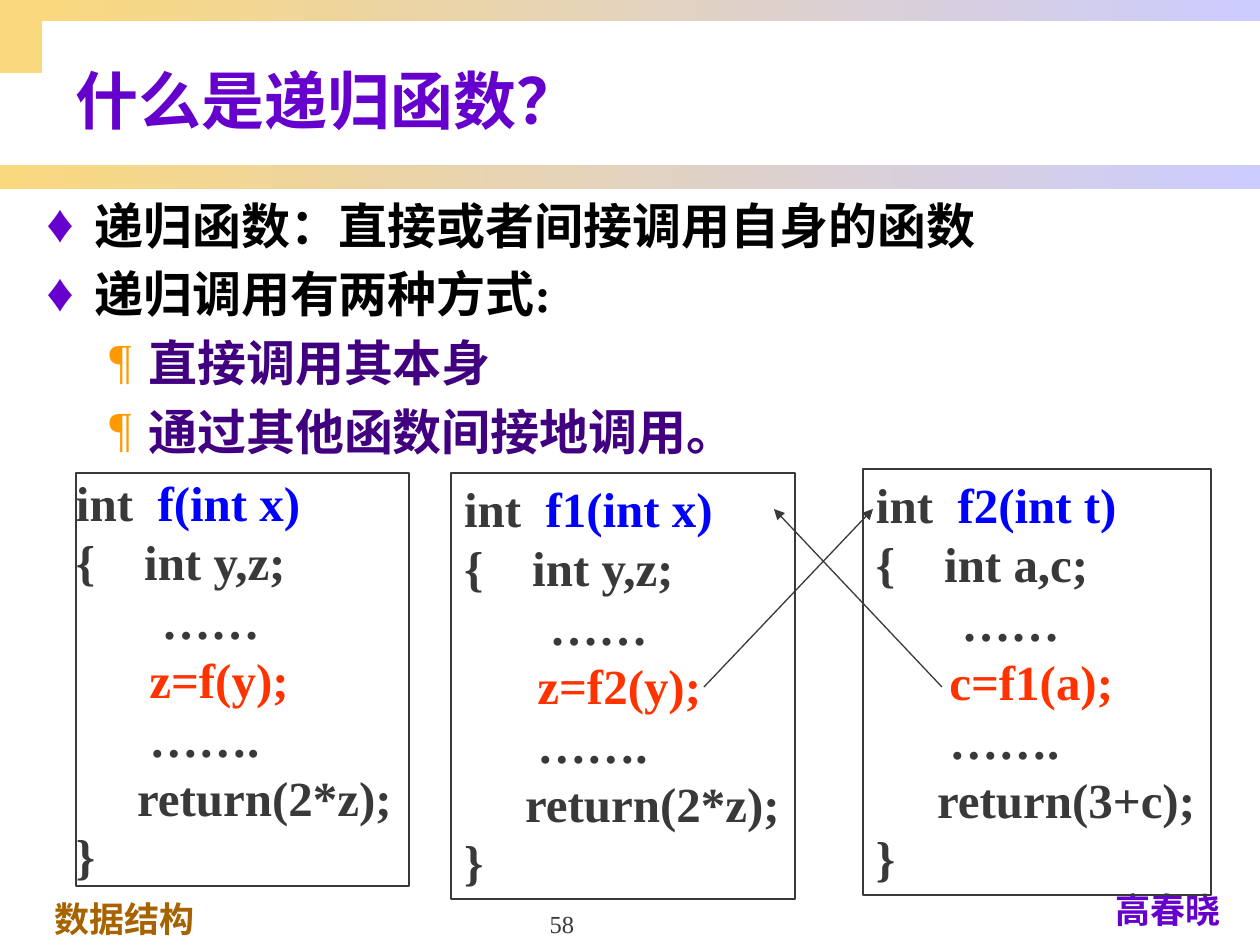
"""Build the slide that explains recursive functions with three code boxes."""
import pptx
import pptx.util
import pptx.dml.color
import pptx.enum.shapes
import pptx.enum.text
import pptx.oxml
import pptx.oxml.ns

RGB = pptx.dml.color.RGBColor
ANCHOR = pptx.enum.text.MSO_ANCHOR
ALIGN = pptx.enum.text.PP_ALIGN
GOLD = RGB(0xF9, 0xD8, 0x7E)
LAVENDER = RGB(0xCC, 0xCC, 0xFF)
BROWN = RGB(0xA6, 0x63, 0x00)
PURPLE = RGB(0x66, 0x00, 0xCC)
INDIGO = RGB(0x40, 0x00, 0x80)
ORANGE = RGB(0xFF, 0x99, 0x00)
BLACK = RGB(0, 0, 0)
GRAY = RGB(0x39, 0x39, 0x39)
BLUE = RGB(0, 0, 0xFF)
RED = RGB(0xFF, 0x33, 0x00)

FONT = "Times New Roman"
EMU_PER_PX = 914400 / 126

TITLE = "什么是递归函数？"
BANDS = [
    ((0, 0, 42, 73), False),
    ((0, 165, 1260, 24), True),
    ((42, 0, 1218, 21), True),
]
FOOTERS = [
    ("数据结构", (42, 891, 441, 54), 20, BROWN, True, ALIGN.LEFT, ANCHOR.TOP),
    ("高春晓", (1086, 882, 164, 54), 20, PURPLE, True, ALIGN.CENTER, ANCHOR.TOP),
    ("58", (431, 882, 262, 63), 14, GRAY, False, ALIGN.CENTER, ANCHOR.BOTTOM),
]
BULLETS = [
    (0, "递归函数：直接或者间接调用自身的函数"),
    (0, "递归调用有两种方式:"),
    (1, "直接调用其本身"),
    (1, "通过其他函数间接地调用。"),
]
LEVELS = [
    {"char": "♦", "mark": PURPLE, "size": 110, "color": BLACK, "left": 48, "hang": 48},
    {"char": "¶", "mark": ORANGE, "size": 100, "color": INDIGO, "left": 102, "hang": 39},
]
FUNCTIONS = [
    ((76, 473, 333, 413), (0, 0), "f(int x)", "y,z", "z=f(y);", "2*z"),
    ((451, 473, 344, 426), (13, 6), "f1(int x)", "y,z", "z=f2(y);", "2*z"),
    ((863, 469, 348, 426), (13, 6), "f2(int t)", "a,c", "c=f1(a);", "3+c"),
]
CALLS = [((704, 687), (873, 509)), ((942, 687), (774, 509))]


def px(n):
    return pptx.util.Emu(round(n * EMU_PER_PX))


def place(box):
    return [px(n) for n in box]


def add_run(p, text, size, color, bold=True):
    r = p.add_run()
    r.text = text
    r.font.name = FONT
    r.font.size = pptx.util.Pt(size)
    r.font.bold = bold
    r.font.color.rgb = color


def add_rect(shapes, box):
    sp = shapes.add_shape(pptx.enum.shapes.MSO_SHAPE.RECTANGLE, *place(box))
    sp.shadow.inherit = False
    return sp


def add_band(shapes, box, graded):
    sp = add_rect(shapes, box)
    sp.line.fill.background()
    if not graded:
        sp.fill.solid()
        sp.fill.fore_color.rgb = GOLD
        return
    sp.fill.gradient()
    sp.fill.gradient_angle = 0
    for stop, color, position in zip(sp.fill.gradient_stops, (GOLD, LAVENDER), (0, 1)):
        stop.color.rgb = color
        stop.position = position


def add_footer(shapes, text, box, size, color, bold, align, anchor):
    tf = shapes.add_textbox(*place(box)).text_frame
    tf.word_wrap = True
    tf.vertical_anchor = anchor
    p = tf.paragraphs[0]
    p.alignment = align
    add_run(p, text, size, color, bold)


def add_bullet(p, style):
    pPr = p._p.get_or_add_pPr()
    pPr.set("marL", str(px(style["left"])))
    pPr.set("indent", str(-px(style["hang"])))
    ns = pptx.oxml.ns.nsdecls("a")
    for xml in (
        f'<a:buClr {ns}><a:srgbClr val="{style["mark"]}"/></a:buClr>',
        f'<a:buSzPct {ns} val="{style["size"] * 1000}"/>',
        f'<a:buFont {ns} typeface="{FONT}"/>',
        f'<a:buChar {ns} char="{style["char"]}"/>',
    ):
        pPr.append(pptx.oxml.parse_xml(xml))


def add_bullets(shapes):
    tf = shapes.add_textbox(*place((34, 189, 1197, 280))).text_frame
    tf.word_wrap = True
    for i, (level, text) in enumerate(BULLETS):
        p = tf.add_paragraph() if i else tf.paragraphs[0]
        p.level = level
        if i:
            p.space_before = pptx.util.Pt(5.6)
        add_bullet(p, LEVELS[level])
        add_run(p, text, 28, LEVELS[level]["color"])


def add_function(shapes, box, inset, signature, names, call, result):
    sp = add_rect(shapes, box)
    sp.fill.background()
    sp.line.color.rgb = GRAY
    sp.line.width = pptx.util.Pt(0.75)
    tf = sp.text_frame
    tf.word_wrap = False
    tf.vertical_anchor = ANCHOR.TOP
    tf.margin_left = tf.margin_right = px(inset[0])
    tf.margin_top = tf.margin_bottom = px(inset[1])
    lines = [
        [("int  ", GRAY), (signature, BLUE)],
        [("{    int " + names + ";", GRAY)],
        [("       ……", GRAY)],
        [("      " + call, RED)],
        [("      …….", GRAY)],
        [("     return(" + result + ");", GRAY)],
        [("}", GRAY)],
    ]
    for i, runs in enumerate(lines):
        p = tf.add_paragraph() if i else tf.paragraphs[0]
        p.alignment = ALIGN.LEFT
        for text, color in runs:
            add_run(p, text, 28, color)


def add_arrow(shapes, start, end):
    straight = pptx.enum.shapes.MSO_CONNECTOR.STRAIGHT
    cx = shapes.add_connector(straight, *place(start + end))
    cx.line.color.rgb = GRAY
    cx.line.width = pptx.util.Pt(0.75)
    ns = pptx.oxml.ns.nsdecls("a")
    cx.line._get_or_add_ln().append(pptx.oxml.parse_xml(f'<a:tailEnd {ns} type="triangle"/>'))
    cx._element.spPr.append(pptx.oxml.parse_xml(f"<a:effectLst {ns}/>"))


def main():
    prs = pptx.Presentation()
    prs.slide_width, prs.slide_height = px(1260), px(945)
    slide = prs.slides.add_slide(prs.slide_layouts[5])
    shapes = slide.shapes
    for band in BANDS:
        add_band(shapes, *band)
    for footer in FOOTERS:
        add_footer(shapes, *footer)

    title = shapes.title
    title.left, title.top, title.width, title.height = place((63, 32, 1197, 135))
    title.text_frame.vertical_anchor = ANCHOR.MIDDLE
    p = title.text_frame.paragraphs[0]
    p.alignment = ALIGN.LEFT
    add_run(p, TITLE, 36, PURPLE)

    add_bullets(shapes)
    for function in FUNCTIONS:
        add_function(shapes, *function)
    for call in CALLS:
        add_arrow(shapes, *call)
    prs.save("out.pptx")


if __name__ == "__main__":
    main()
